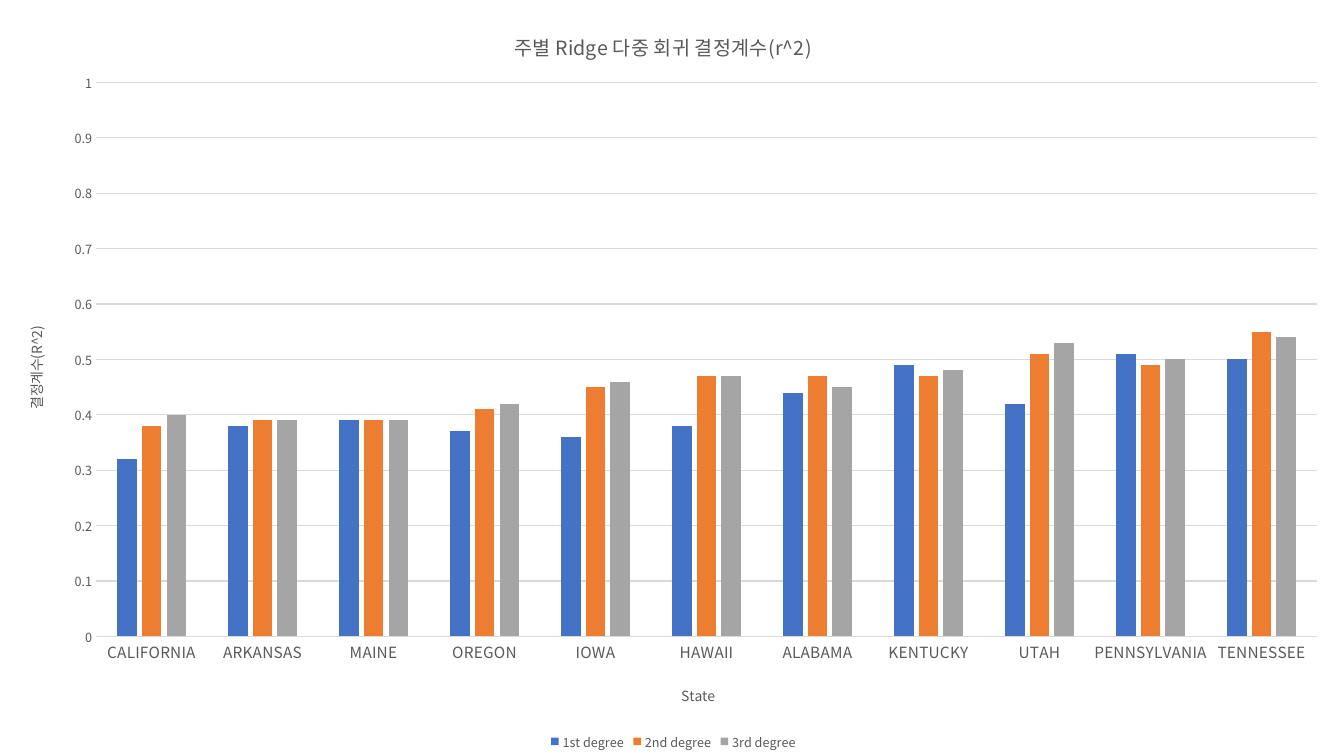
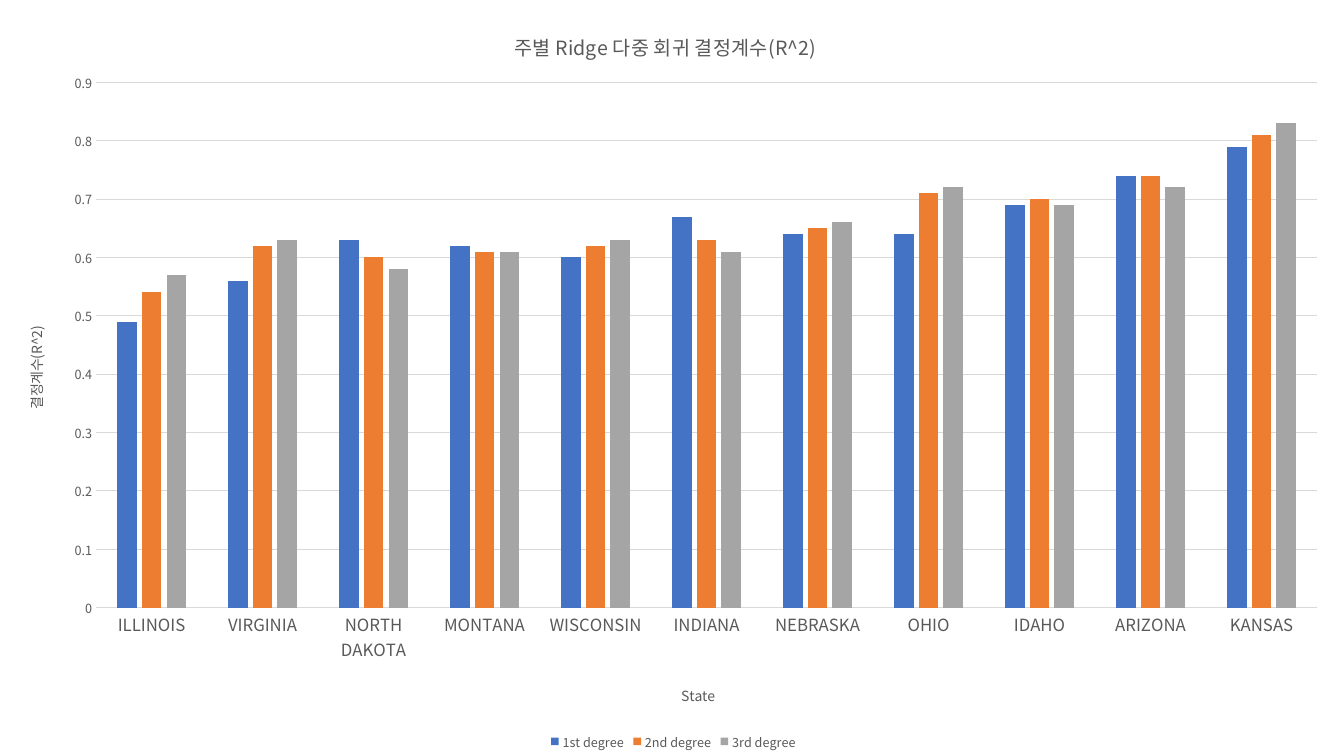
import pptx
import pptx.chart.data
import pptx.dml.color
import pptx.enum.chart
import pptx.oxml
import pptx.oxml.ns
import pptx.util

FONT = "Noto Sans CJK KR"
TEXT = "595959"
GRID = "D9D9D9"
SERIES_COLORS = {"1st degree": "4472C4", "2nd degree": "ED7D31", "3rd degree": "A5A5A5"}
VALUE_TITLE = "결정계수(R^2)"
CATEGORY_TITLE = "State"

CHARTS = [
    {
        "title": "주별 Ridge 다중 회귀 결정계수(r^2)",
        "label_size": 11,
        "maximum": 1,
        "plot_height": 0.733,
        "states": ["CALIFORNIA", "ARKANSAS", "MAINE", "OREGON", "IOWA", "HAWAII",
                   "ALABAMA", "KENTUCKY", "UTAH", "PENNSYLVANIA", "TENNESSEE"],
        "values": [
            [0.32, 0.38, 0.39, 0.37, 0.36, 0.38, 0.44, 0.49, 0.42, 0.51, 0.5],
            [0.38, 0.39, 0.39, 0.41, 0.45, 0.47, 0.47, 0.47, 0.51, 0.49, 0.55],
            [0.4, 0.39, 0.39, 0.42, 0.46, 0.47, 0.45, 0.48, 0.53, 0.5, 0.54],
        ],
    },
    {
        "title": "주별 Ridge 다중 회귀 결정계수(R^2)",
        "label_size": 12,
        "maximum": 0.9,
        "plot_height": 0.695,
        "states": ["ILLINOIS", "VIRGINIA", "NORTH DAKOTA", "MONTANA", "WISCONSIN", "INDIANA",
                   "NEBRASKA", "OHIO", "IDAHO", "ARIZONA", "KANSAS"],
        "values": [
            [0.49, 0.56, 0.63, 0.62, 0.6, 0.67, 0.64, 0.64, 0.69, 0.74, 0.79],
            [0.54, 0.62, 0.6, 0.61, 0.62, 0.63, 0.65, 0.71, 0.7, 0.74, 0.81],
            [0.57, 0.63, 0.58, 0.61, 0.63, 0.61, 0.66, 0.72, 0.69, 0.72, 0.83],
        ],
    },
]


def color(value):
    return pptx.dml.color.RGBColor.from_string(value)


def style_font(font, size):
    font.name = FONT
    font.size = pptx.util.Pt(size)
    font.bold = False
    font.color.rgb = color(TEXT)


def style_line(line):
    line.color.rgb = color(GRID)
    line.width = pptx.util.Pt(0.75)


def set_title(owner, text, size):
    frame = owner.text_frame
    frame.text = text
    style_font(frame.paragraphs[0].runs[0].font, size)


def set_layout(parent, before, left, top, width=None, height=None, inner=False):
    for old in parent.findall(pptx.oxml.ns.qn("c:layout")):
        parent.remove(old)
    parts = [("xMode", "edge"), ("yMode", "edge"), ("x", left), ("y", top)]
    if inner:
        parts.insert(0, ("layoutTarget", "inner"))
    if width:
        parts += [("w", width), ("h", height)]
    body = "".join(f'<c:{name} val="{value}"/>' for name, value in parts)
    layout = pptx.oxml.parse_xml(
        f'<c:layout {pptx.oxml.ns.nsdecls("c")}><c:manualLayout>{body}</c:manualLayout></c:layout>')
    if before is None:
        parent.insert(0, layout)
    else:
        parent.find(pptx.oxml.ns.qn(before)).addnext(layout)


def style_axis(axis, title, size):
    axis.major_tick_mark = pptx.enum.chart.XL_TICK_MARK.NONE
    axis.minor_tick_mark = pptx.enum.chart.XL_TICK_MARK.NONE
    style_font(axis.tick_labels.font, size)
    set_title(axis.axis_title, title, 10)


def add_state_chart(slide, content):
    data = pptx.chart.data.CategoryChartData()
    data.categories = content["states"]
    for name, values in zip(SERIES_COLORS, content["values"]):
        data.add_series(name, values)
    chart = slide.shapes.add_chart(
        pptx.enum.chart.XL_CHART_TYPE.COLUMN_CLUSTERED, 0, 0,
        presentation.slide_width, presentation.slide_height, data).chart
    style_font(chart.font, 10)
    set_title(chart.chart_title, content["title"], 14)

    plot = chart.plots[0]
    plot.gap_width = 219
    plot.overlap = -27
    plot.vary_by_categories = False
    for series in plot.series:
        series.format.fill.solid()
        series.format.fill.fore_color.rgb = color(SERIES_COLORS[series.name])

    states = chart.category_axis
    style_axis(states, CATEGORY_TITLE, content["label_size"])
    style_line(states.format.line)
    scale = chart.value_axis
    style_axis(scale, VALUE_TITLE, 9)
    scale.format.line.fill.background()
    scale.minimum_scale = 0
    scale.maximum_scale = content["maximum"]
    scale.major_unit = 0.1
    scale.tick_labels.number_format = "General"
    scale.tick_labels.number_format_is_linked = False
    style_line(scale.major_gridlines.format.line)

    chart.has_legend = True
    legend = chart.legend
    legend.position = pptx.enum.chart.XL_LEGEND_POSITION.BOTTOM
    legend.include_in_layout = False
    style_font(legend.font, 9)

    element = chart.element
    plot_area, legend_box = (element.find(".//" + pptx.oxml.ns.qn(tag))
                             for tag in ("c:plotArea", "c:legend"))
    set_layout(plot_area, None, 0.0715, 0.109, 0.9085, content["plot_height"], inner=True)
    set_layout(legend_box, "c:legendPos", 0.406, 0.967, 0.19, 0.033)
    set_layout(chart.chart_title.element, "c:tx", 0.38, 0.035)
    set_layout(states.axis_title.element, "c:tx", 0.505, 0.902)
    set_layout(scale.axis_title.element, "c:tx", 0.017, 0.428)
    for latin in list(element.iter(pptx.oxml.ns.qn("a:latin"))):
        latin.addnext(pptx.oxml.parse_xml(
            f'<a:ea {pptx.oxml.ns.nsdecls("a")} typeface="{FONT}"/>'))


presentation = pptx.Presentation()
presentation.slide_width = pptx.util.Cm(33.87)
presentation.slide_height = pptx.util.Cm(19.05)
for content in CHARTS:
    add_state_chart(presentation.slides.add_slide(presentation.slide_layouts[6]), content)
presentation.save("out.pptx")
